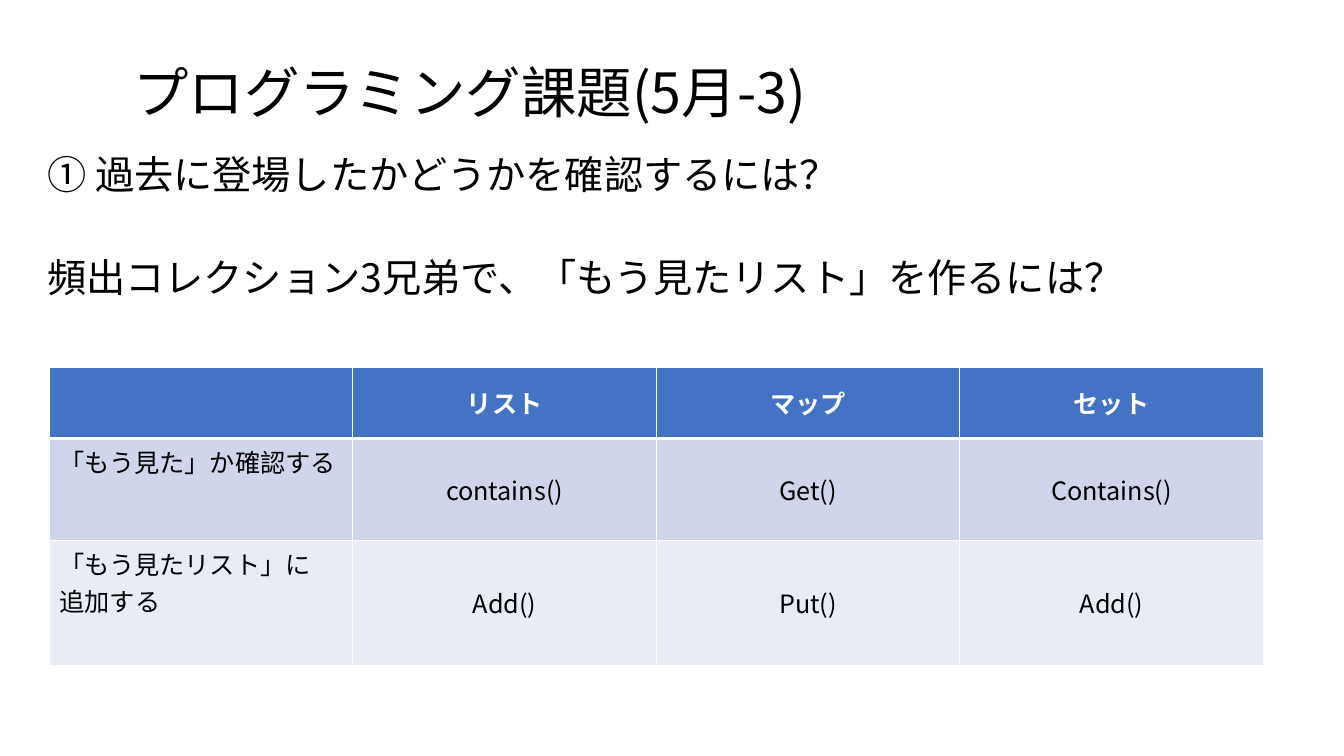
"""Build the slide about checking whether an item has been seen before."""
from lxml.etree import SubElement
from pptx import Presentation
from pptx.dml.color import RGBColor
from pptx.enum.text import MSO_ANCHOR, MSO_AUTO_SIZE, PP_ALIGN
from pptx.oxml.ns import qn
from pptx.util import Inches, Pt

COLORS = {"text": "000000", "white": "FFFFFF", "header": "4472C4",
          "band_dark": "CFD5EA", "band_light": "E9EBF5"}
FONT = "Noto Sans CJK JP"


class SlideBuilder:
    """Hold the style and the current slide."""

    def __init__(self, deck):
        """Add a title-only slide."""
        self.page = deck.slides.add_slide(deck.slide_layouts[5])

    def add_span(self, para, text, size, color="text", bold=False):
        """Add one styled run to a paragraph."""
        span = para.add_run()
        span.text = text
        span.font.name = FONT
        span.font.size = Pt(size)
        span.font.bold = bold
        span.font.color.rgb = RGBColor.from_string(COLORS[color])
        SubElement(span.font._element, qn("a:ea"), typeface=FONT)

    def fill_frame(self, frame, lines, size, anchor, gaps):
        """Set left-aligned lines with the given space before each."""
        frame.word_wrap = True
        frame.auto_size = MSO_AUTO_SIZE.NONE
        frame.vertical_anchor = anchor
        for index, (line, gap) in enumerate(zip(lines, gaps)):
            para = frame.add_paragraph() if index else frame.paragraphs[0]
            para.alignment = PP_ALIGN.LEFT
            para.line_spacing = 0.9
            para.space_before = Pt(gap)
            self.add_span(para, line, size)

    def title(self, text, left, top, width, height):
        """Place and format the title placeholder."""
        box = self.page.shapes.title
        box.left, box.top = Inches(left), Inches(top)
        box.width, box.height = Inches(width), Inches(height)
        self.fill_frame(box.text_frame, [text], 39.6, MSO_ANCHOR.MIDDLE, [0])

    def body(self, lines, gaps, left, top, width, height):
        """Add the body text."""
        box = self.page.shapes.add_textbox(
            Inches(left), Inches(top), Inches(width), Inches(height))
        self.fill_frame(box.text_frame, lines, 28, MSO_ANCHOR.TOP, gaps)

    def borders(self, cell, widths):
        """Draw white cell borders with a width in points for each side."""
        properties = cell._tc.get_or_add_tcPr()
        for side, width in widths.items():
            line = SubElement(properties, qn(f"a:ln{side}"), w=str(Pt(width)))
            fill = SubElement(line, qn("a:solidFill"))
            SubElement(fill, qn("a:srgbClr"), val=COLORS["white"])

    def table(self, rows, heights, left, top, width):
        """Add a table with a header row and a label column."""
        grid = self.page.shapes.add_table(
            len(rows), len(rows[0]), Inches(left), Inches(top),
            Inches(width), Inches(sum(heights))).table
        fills = ["header", "band_dark", "band_light"]
        for row_index, (row, height) in enumerate(zip(rows, heights)):
            grid.rows[row_index].height = Inches(height)
            header = row_index == 0
            for column, text in enumerate(row):
                cell = grid.cell(row_index, column)
                self.borders(cell, {"L": 1, "R": 1,
                                    "T": 3 if row_index == 1 else 1,
                                    "B": 3 if header else 1})
                cell.fill.solid()
                cell.fill.fore_color.rgb = RGBColor.from_string(
                    COLORS[fills[row_index]])
                label = column == 0
                cell.vertical_anchor = (
                    MSO_ANCHOR.TOP if label else MSO_ANCHOR.MIDDLE)
                for index, line in enumerate(text.splitlines()):
                    frame = cell.text_frame
                    para = frame.add_paragraph() if index else frame.paragraphs[0]
                    para.alignment = PP_ALIGN.LEFT if label else PP_ALIGN.CENTER
                    self.add_span(para, line, 18,
                                  "white" if header else "text", header)


deck = Presentation()
deck.slide_width, deck.slide_height = Inches(13.33), Inches(7.5)
builder = SlideBuilder(deck)
builder.title("プログラミング課題(5月-3)", 1.22, 0.6, 11.12, 0.69)
builder.body(["① 過去に登場したかどうかを確認するには？",
              "頻出コレクション3兄弟で、「もう見たリスト」を作るには？"],
             [10, 44], 0.37, 1.49, 12.78, 5.41)
builder.table([["", "リスト", "マップ", "セット"],
               ["「もう見た」か確認する", "contains()", "Get()", "Contains()"],
               ["「もう見たリスト」に\n追加する", "Add()", "Put()", "Add()"]],
              [0.71, 1.01, 1.24], 0.49, 3.64, 12.04)
deck.save("out.pptx")
